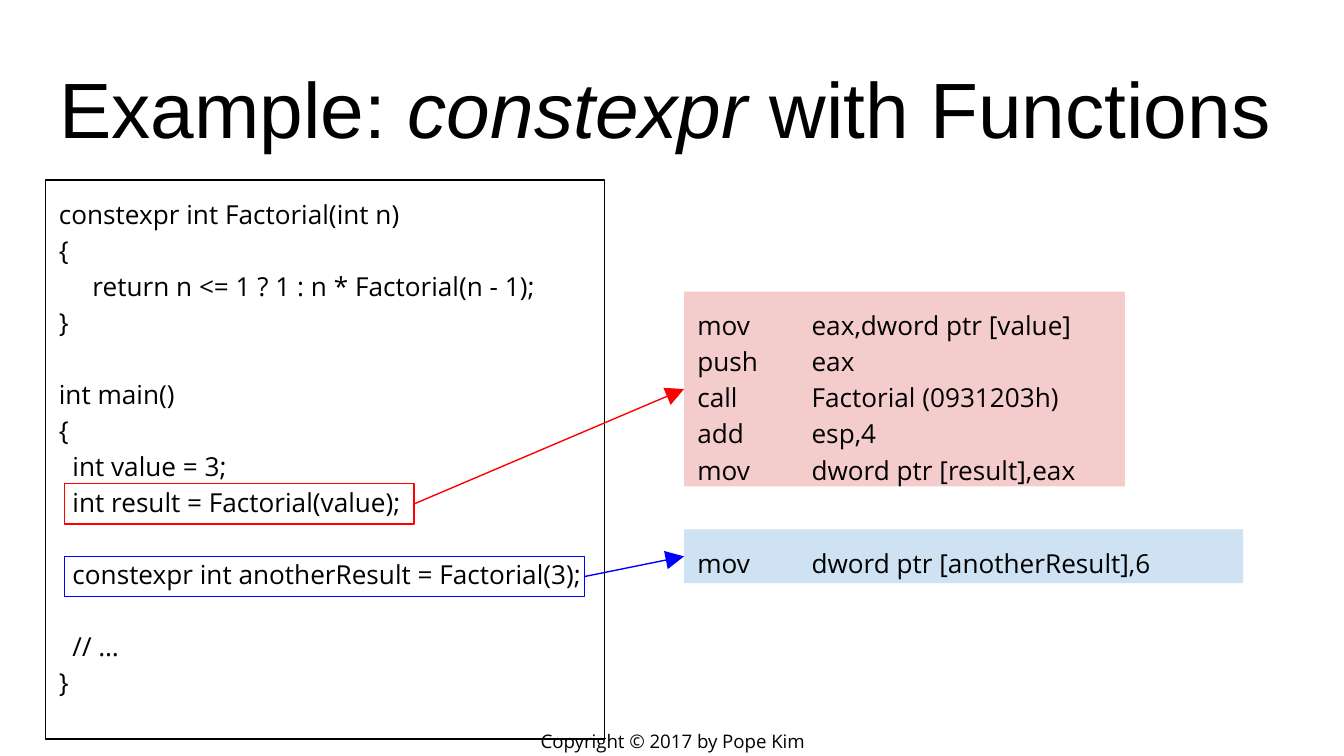
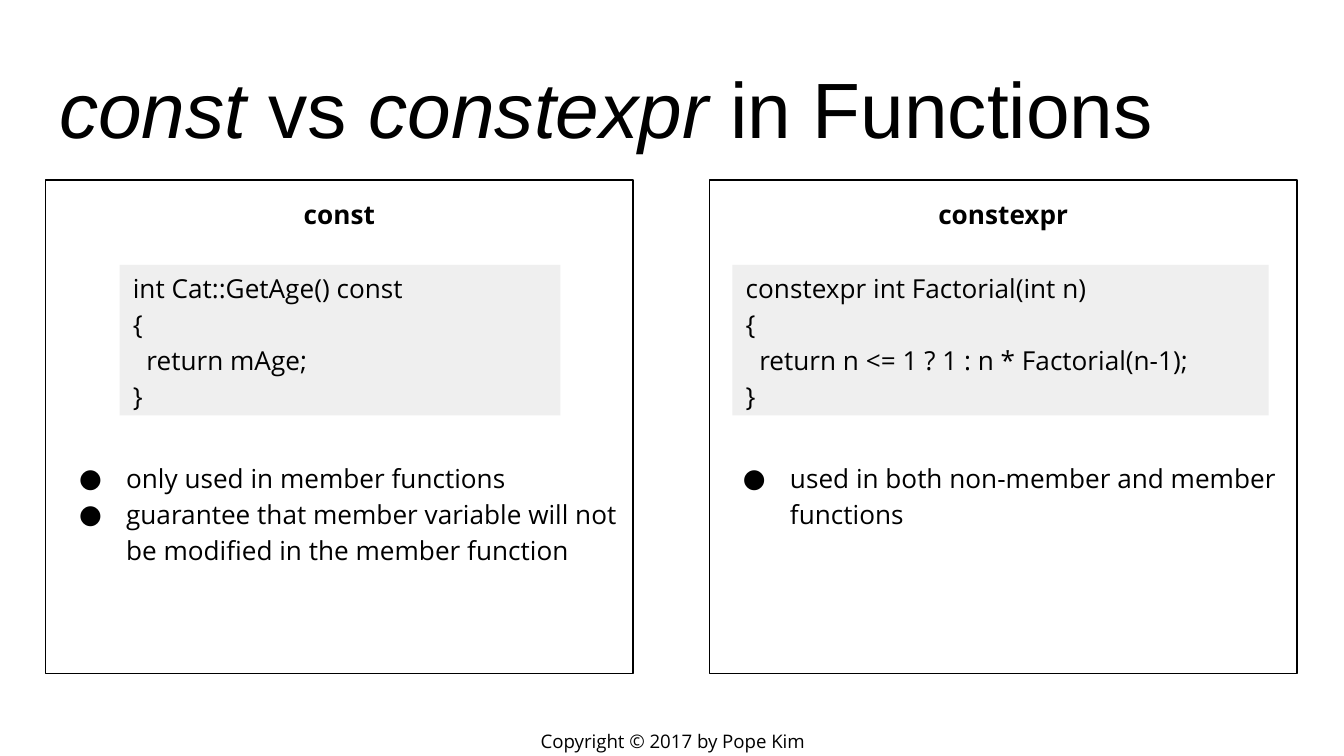
from lxml import etree
from pptx import Presentation
from pptx.dml.color import RGBColor
from pptx.enum.shapes import MSO_CONNECTOR, MSO_SHAPE
from pptx.enum.text import MSO_ANCHOR, MSO_AUTO_SIZE, PP_ALIGN
from pptx.oxml.ns import qn
from pptx.util import Inches, Pt

RECTANGLE = MSO_SHAPE.RECTANGLE
STRAIGHT = MSO_CONNECTOR.STRAIGHT
TOP, MIDDLE, BOTTOM = MSO_ANCHOR.TOP, MSO_ANCHOR.MIDDLE, MSO_ANCHOR.BOTTOM
LEFT, CENTER = PP_ALIGN.LEFT, PP_ALIGN.CENTER
NO_AUTOFIT = MSO_AUTO_SIZE.NONE
LEFT_SIDE, RIGHT_SIDE = 1, 3

BLACK = RGBColor(0x00, 0x00, 0x00)
RED = RGBColor(0xFF, 0x00, 0x00)
BLUE = RGBColor(0x00, 0x00, 0xFF)
PINK = RGBColor(0xF4, 0xCC, 0xCC)
PALE_BLUE = RGBColor(0xCF, 0xE2, 0xF3)
PALE_GREY = RGBColor(0xEF, 0xEF, 0xEF)

SLIDE_WIDTH = Inches(10)
SLIDE_HEIGHT = SLIDE_WIDTH * 9 // 16
TITLE_FONT, BODY_FONT = "Arial", "Open Sans"
TITLE_SIZE, BODY_SIZE, FOOTER_SIZE = 42, 14, 10
BODY_SPACING = 1.15
BLANK_LINE = Pt(19.3)
CODE_INDENT = Inches(0.25)
OPERAND_TAB = Inches(0.85)
BULLET_MARGIN, BULLET_HANG = Inches(0.5), Inches(-0.35)
HEADING_GAP = Pt(122)
INSET = Inches(0.1)
PANEL_LEFT, PANEL_TOP = 0.34, 1.34
FOOTER_TEXT = "Copyright © 2017 by Pope Kim"


def prepare_frame(shape, anchor):
    frame = shape.text_frame
    frame.word_wrap = True
    frame.auto_size = NO_AUTOFIT
    frame.vertical_anchor = anchor
    frame.margin_left = frame.margin_right = INSET
    frame.margin_top = frame.margin_bottom = INSET
    return frame


def next_paragraph(frame, align=LEFT):
    """Return the empty first paragraph, or a new one after the others."""
    first = frame.paragraphs[0]
    paragraph = frame.add_paragraph() if first.runs else first
    paragraph.alignment = align
    return paragraph


def add_run(paragraph, text, font=BODY_FONT, size=BODY_SIZE, bold=False, italic=False):
    run = paragraph.add_run()
    run.text = text
    run.font.name = font
    run.font.size = Pt(size)
    run.font.bold = bold
    run.font.italic = italic
    run.font.color.rgb = BLACK


def add_box(slide, left, top, width, height, fill=None, line=None):
    box = slide.shapes.add_shape(
        RECTANGLE, Inches(left), Inches(top), Inches(width), Inches(height))
    box.shadow.inherit = False
    if fill is None:
        box.fill.background()
    else:
        box.fill.solid()
        box.fill.fore_color.rgb = fill
    if line is None:
        box.line.fill.background()
    else:
        box.line.color.rgb = line
        box.line.width = Pt(0.75)
    return box


def write_code(box, lines, anchor=TOP):
    """Write code lines; "" is a blank line, a leading tab an indented one."""
    frame = prepare_frame(box, anchor)
    blank_before = False
    for line in lines:
        if not line:
            blank_before = True
            continue
        paragraph = next_paragraph(frame)
        paragraph.line_spacing = BODY_SPACING
        if blank_before:
            paragraph.space_before = BLANK_LINE
            blank_before = False
        if line.startswith("\t"):
            paragraph._p.get_or_add_pPr().set("indent", str(CODE_INDENT))
        add_run(paragraph, line.lstrip("\t"))


def write_assembly(box, instructions):
    """Write opcodes with their operands lined up at a tab stop."""
    frame = prepare_frame(box, TOP)
    for opcode, operands in instructions:
        paragraph = next_paragraph(frame)
        paragraph.line_spacing = BODY_SPACING
        tabs = etree.SubElement(paragraph._p.get_or_add_pPr(), qn("a:tabLst"))
        etree.SubElement(tabs, qn("a:tab"), pos=str(OPERAND_TAB), algn="l")
        add_run(paragraph, f"{opcode}\t{operands}")


def add_bullet(paragraph):
    properties = paragraph._p.get_or_add_pPr()
    properties.set("marL", str(BULLET_MARGIN))
    properties.set("indent", str(BULLET_HANG))
    color = etree.SubElement(properties, qn("a:buClr"))
    etree.SubElement(color, qn("a:srgbClr"), val=str(BLACK))
    etree.SubElement(properties, qn("a:buSzPts"), val=str(BODY_SIZE * 100))
    etree.SubElement(properties, qn("a:buFont"), typeface=BODY_FONT)
    etree.SubElement(properties, qn("a:buChar"), char="●")


def write_panel(panel, heading, points):
    frame = prepare_frame(panel, TOP)
    head = next_paragraph(frame, CENTER)
    head.line_spacing = BODY_SPACING
    head.space_after = HEADING_GAP
    add_run(head, heading, bold=True)
    for point in points:
        paragraph = next_paragraph(frame)
        paragraph.line_spacing = BODY_SPACING
        add_bullet(paragraph)
        add_run(paragraph, point)


def add_arrow(slide, source, target, color):
    """Join the right side of one box to the left side of another."""
    arrow = slide.shapes.add_connector(STRAIGHT, 0, 0, 0, 0)
    arrow.begin_connect(source, RIGHT_SIDE)
    arrow.end_connect(target, LEFT_SIDE)
    arrow.line.color.rgb = color
    arrow.line.width = Pt(0.75)
    etree.SubElement(arrow.line._get_or_add_ln(), qn("a:tailEnd"),
                     type="triangle", w="lg", len="lg")
    etree.SubElement(arrow._element.spPr, qn("a:effectLst"))


def add_slide(prs, title_parts):
    """Add a slide with its title, (text, italic) parts, and the footer."""
    slide = prs.slides.add_slide(prs.slide_layouts[5])
    title = slide.shapes.title
    title.left, title.top = Inches(PANEL_LEFT), Inches(0.34)
    title.width, title.height = Inches(9.32), Inches(0.91)
    heading = next_paragraph(prepare_frame(title, BOTTOM))
    for text, italic in title_parts:
        add_run(heading, text, TITLE_FONT, TITLE_SIZE, italic=italic)

    footer = slide.shapes.add_textbox(
        Inches(3.77), Inches(5.41), Inches(2.47), Inches(0.21))
    copyright_line = next_paragraph(prepare_frame(footer, MIDDLE), CENTER)
    add_run(copyright_line, FOOTER_TEXT, size=FOOTER_SIZE)
    return slide


def build_example(prs):
    slide = add_slide(prs, [
        ("Example: ", False), ("constexpr", True), (" with Functions", False)])

    # Source code
    source = add_box(slide, PANEL_LEFT, PANEL_TOP, 4.16, 4.16, line=BLACK)
    write_code(source, [
        "constexpr int Factorial(int n)",
        "{",
        "\treturn n <= 1 ? 1 : n * Factorial(n - 1);",
        "}",
        "",
        "int main()",
        "{",
        "  int value = 3;",
        "  int result = Factorial(value);",
        "",
        "  constexpr int anotherResult = Factorial(3);",
        "",
        "  // …",
        "}",
    ])

    # Highlighted calls and the instructions they compile to
    runtime_code = [
        ("mov", "eax,dword ptr [value]"),
        ("push", "eax"),
        ("call", "Factorial (0931203h)"),
        ("add", "esp,4"),
        ("mov", "dword ptr [result],eax"),
    ]
    constant_code = [("mov", "dword ptr [anotherResult],6")]
    calls = [
        (RED, (3.6, 2.6), PINK, (2.17, 3.28, 1.45), runtime_code),
        (BLUE, (4.14, 3.87), PALE_BLUE, (3.94, 4.16, 0.4), constant_code),
    ]
    for color, (call_top, call_width), fill, (top, width, height), code in calls:
        assembly = add_box(slide, 5.09, top, width, height, fill=fill)
        write_assembly(assembly, code)
        call = add_box(slide, 0.48, call_top, call_width, 0.3, line=color)
        add_arrow(slide, call, assembly, color)


def build_comparison(prs):
    slide = add_slide(prs, [
        ("const", True), (" vs ", False), ("constexpr", True), (" in Functions", False)])

    # Panel left, heading, points, code left, code width, code
    columns = [
        (PANEL_LEFT, "const",
         ["only used in member functions",
          "guarantee that member variable will not be modified in the member function"],
         0.89, 3.28,
         ["int Cat::GetAge() const", "{", "  return mAge;", "}"]),
        (5.28, "constexpr",
         ["used in both non-member and member functions"],
         5.45, 3.99,
         ["constexpr int Factorial(int n)", "{",
          "  return n <= 1 ? 1 : n * Factorial(n-1);", "}"]),
    ]
    for left, heading, points, code_left, code_width, code in columns:
        panel = add_box(slide, left, PANEL_TOP, 4.37, 3.67, line=BLACK)
        write_panel(panel, heading, points)
        snippet = add_box(slide, code_left, 1.97, code_width, 1.12, fill=PALE_GREY)
        write_code(snippet, code, MIDDLE)


def main():
    prs = Presentation()
    prs.slide_width, prs.slide_height = SLIDE_WIDTH, SLIDE_HEIGHT
    build_example(prs)
    build_comparison(prs)
    prs.save("out.pptx")


if __name__ == "__main__":
    main()
